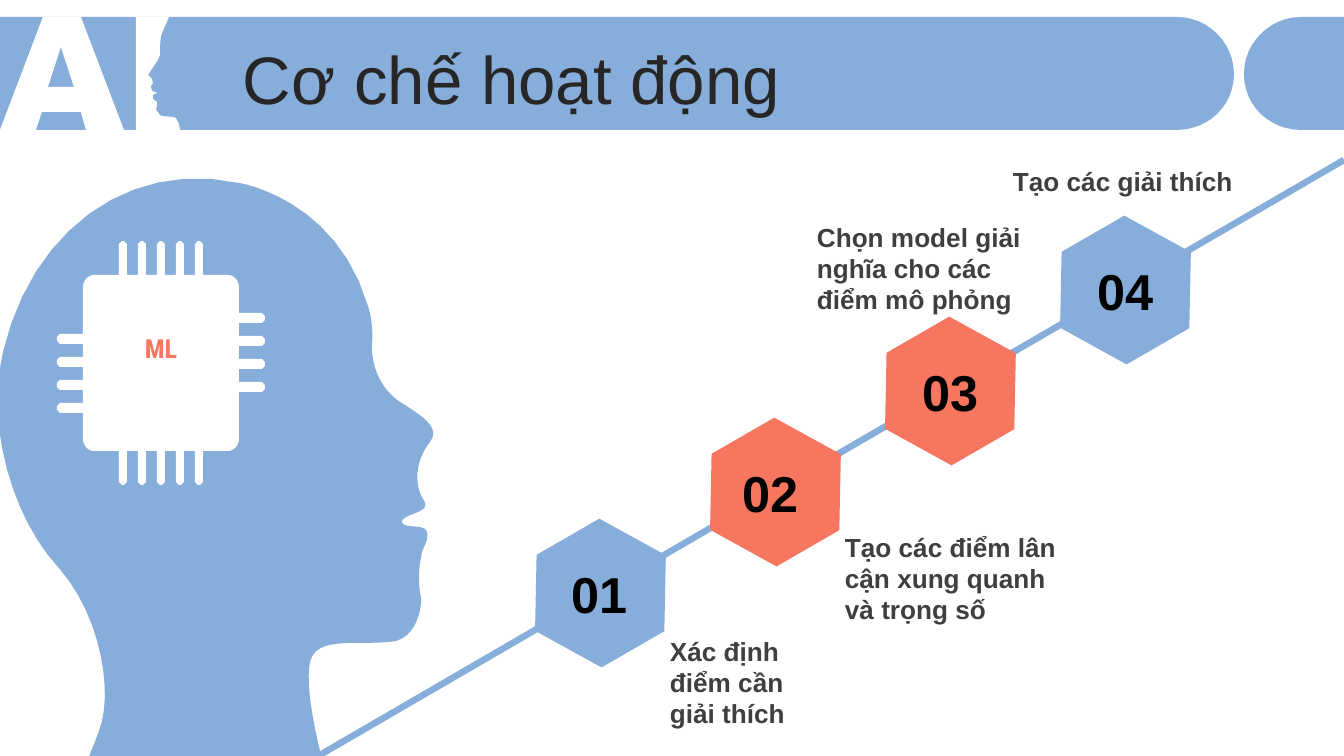
from lxml import etree
from pptx import Presentation
from pptx.dml.color import RGBColor
from pptx.enum.shapes import MSO_CONNECTOR, MSO_SHAPE
from pptx.enum.text import MSO_ANCHOR, MSO_AUTO_SIZE, PP_ALIGN
from pptx.oxml.ns import qn
from pptx.util import Emu, Pt

STRAIGHT = MSO_CONNECTOR.STRAIGHT
HEXAGON = MSO_SHAPE.HEXAGON
TOP, MIDDLE = MSO_ANCHOR.TOP, MSO_ANCHOR.MIDDLE
LEFT, CENTER = PP_ALIGN.LEFT, PP_ALIGN.CENTER
NO_FIT, GROW = MSO_AUTO_SIZE.NONE, MSO_AUTO_SIZE.SHAPE_TO_FIT_TEXT

EMU_PER_PX = 914400 / 134.4
BLUE, CORAL, WHITE = "87ADDB", "F77660", "FFFFFF"
CURVE_STEPS = 12

BAR = [(0, 17), (1177, 17), (1208, 17, 1234, 43, 1234, 74),
       (1234, 106, 1208, 130, 1177, 130), (0, 130)]
BAR_END = [(1301, 17), (1344, 17), (1344, 130), (1301, 130),
           (1270, 130, 1244, 106, 1244, 74), (1244, 43, 1270, 17, 1301, 17)]
LETTER_A = [(43, 17), (81, 17), (124, 130), (86, 130),
            (81, 112), (42, 112), (36, 130), (0, 130)]
LETTER_A_HOLE = [(61, 47), (48, 87), (74, 87)]
LETTER_I = [(136, 17), (169, 17), (163, 31), (161, 36), (160, 47), (160, 55),
            (158, 60), (152, 69), (148, 75), (152, 79), (153, 83), (151, 86),
            (152, 91), (157, 93), (153, 95), (153, 99), (157, 102), (157, 106),
            (156, 110), (161, 116), (173, 117), (176, 118), (179, 124),
            (180, 130), (136, 130)]
HEAD = [(328, 780), (79, 780),
        (87, 762, 95, 742, 99, 731), (113, 696, 103, 618, 58, 567),
        (13, 519, -15, 425, 3, 352), (31, 233, 126, 159, 239, 183),
        (239, 183, 336, 198, 368, 306), (368, 306, 374, 323, 372, 344),
        (371, 378, 391, 398, 405, 405), (418, 414, 442, 427, 430, 442),
        (414, 462, 415, 487, 423, 499), (434, 513, 405, 513, 402, 521),
        (401, 530, 425, 523, 427, 532), (429, 543, 422, 546, 421, 558),
        (418, 570, 419, 591, 421, 597), (422, 603, 419, 640, 390, 642),
        (360, 645, 324, 638, 313, 655), (302, 671, 314, 734, 328, 780)]

STEPS = [
    ("01", 556, BLUE, "Xác định điểm cần giải thích", (661, 630, 138, 105)),
    ("02", 727, CORAL, "Tạo các điểm lân cận xung quanh và trọng số", (836, 526, 243, 105)),
    ("03", 907, CORAL, "Chọn model giải nghĩa cho các điểm mô phỏng", (808, 216, 243, 105)),
    ("04", 1082, BLUE, "Tạo các giải thích", (1004, 160, 243, 42)),
]


def px(length):
    return Emu(round(length * EMU_PER_PX))


def color(value):
    return RGBColor.from_string(value)


def paint(shape, fill):
    shape.shadow.inherit = False
    shape.fill.solid()
    shape.fill.fore_color.rgb = color(fill)
    shape.line.fill.background()


def flatten(outline):
    points = []
    for segment in outline:
        if len(segment) == 2:
            points.append(segment)
            continue
        x0, y0 = points[-1]
        x1, y1, x2, y2, x3, y3 = segment
        for step in range(1, CURVE_STEPS + 1):
            t = step / CURVE_STEPS
            a, b, c, d = (1 - t) ** 3, 3 * t * (1 - t) ** 2, 3 * t * t * (1 - t), t ** 3
            points.append((a * x0 + b * x1 + c * x2 + d * x3,
                           a * y0 + b * y1 + c * y2 + d * y3))
    return [(px(x), px(y)) for x, y in points]


def add_outline(slide, fill, *outlines):
    first, *others = [flatten(outline) for outline in outlines]
    builder = slide.shapes.build_freeform(*first[0])
    builder.add_line_segments(first[1:])
    for points in others:
        builder.move_to(*points[0])
        builder.add_line_segments(points[1:])
    paint(builder.convert_to_shape(), fill)


def chip_outline():
    half = [(83, 287), (83, 281, 88, 275, 94, 275)]
    for x in range(119, 196, 19):
        half += [(x, 275), (x, 244), (x + 3, 241), (x + 5, 241), (x + 8, 244), (x + 8, 275)]
    half += [(228, 275), (234, 275, 239, 281, 239, 287)]
    for y in range(313, 405, 23):
        half += [(239, y), (262, y), (265, y + 3), (265, y + 7), (262, y + 10), (239, y + 10)]
    center = (161, 363)
    opposite = [tuple(2 * center[i % 2] - value for i, value in enumerate(segment))
                for segment in half]
    return half + opposite


def add_path_line(slide):
    line = slide.shapes.add_connector(STRAIGHT, px(320), px(755), px(1344), px(160))
    line.line.color.rgb = color(BLUE)
    line.line.width = Pt(3.5)
    etree.SubElement(line._element.spPr, qn("a:effectLst"))


def add_hexagon(slide, left, top, fill):
    hexagon = slide.shapes.add_shape(HEXAGON, px(left), px(top), px(151), px(130))
    hexagon.adjustments[0] = 0.302
    hexagon.adjustments[1] = 1.155
    hexagon.rotation = 330
    paint(hexagon, fill)


def write(box, text, size, ink, align=LEFT, bold=True, font="Arial",
          inset=(9, 5), anchor=TOP, fit=GROW):
    frame = box.text_frame
    frame.word_wrap = True
    frame.auto_size = fit
    frame.vertical_anchor = anchor
    frame.margin_left = frame.margin_right = px(inset[0])
    frame.margin_top = frame.margin_bottom = px(inset[1])
    para = frame.paragraphs[0]
    para.text = text
    para.alignment = align
    para.font.name = font
    para.font.size = Pt(size)
    para.font.bold = bold
    para.font.color.rgb = color(ink)


def add_text(slide, area, *content, **style):
    box = slide.shapes.add_textbox(*map(px, area))
    write(box, *content, **style)


def add_title(slide, text):
    title = slide.shapes.title
    title.left, title.top, title.width, title.height = map(px, (234, 38, 1078, 79))
    write(title, text, 36, "262626", bold=False, anchor=MIDDLE, fit=NO_FIT)
    slide.shapes._spTree.append(title._element)


def main():
    deck = Presentation()
    deck.slide_width, deck.slide_height = px(1344), px(756)
    slide = deck.slides.add_slide(deck.slide_layouts[5])

    add_outline(slide, BLUE, BAR)
    add_outline(slide, WHITE, LETTER_A, LETTER_A_HOLE, LETTER_I)
    add_outline(slide, BLUE, BAR_END)
    add_title(slide, "Cơ chế hoạt động")

    add_path_line(slide)
    for index, (number, number_left, fill, label, label_area) in enumerate(STEPS):
        top = 528 - 101 * index
        add_hexagon(slide, 525 + 175 * index, top, fill)
        add_text(slide, (number_left, top + 30, 87, 71), number, 27, "000000", align=CENTER)
        add_text(slide, label_area, label, 14, "3F3F3F")

    add_outline(slide, BLUE, HEAD)
    add_outline(slide, WHITE, chip_outline())
    add_text(slide, (99, 325, 124, 71), "ML", 14, CORAL, align=CENTER,
             font="Roboto Condensed", inset=(13, 7), fit=NO_FIT)
    deck.save("out.pptx")


if __name__ == "__main__":
    main()
